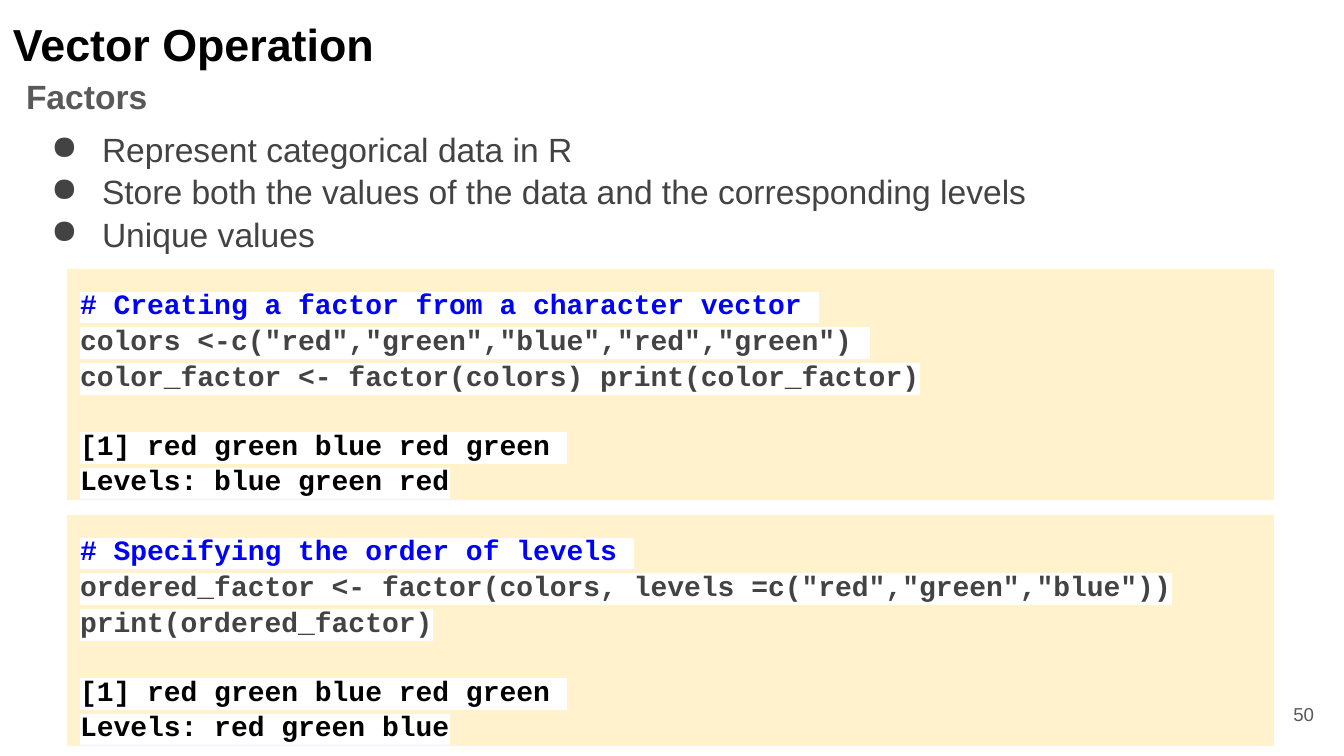
import pptx
import pptx.dml.color
import pptx.enum.shapes
import pptx.enum.text
import pptx.oxml.ns
import pptx.util
import lxml.etree

EMU_PER_PX = 914400 / 134.4
INSET = 13
COLORS = {
    "title": "000000",
    "muted": "595959",
    "body": "434343",
    "comment": "0000FF",
    "output": "000000",
    "panel": "FFF2CC",
    "highlight": "FFFFFF",
}
FACTS = [
    "Represent categorical data in R",
    "Store both the values of the data and the corresponding levels",
    "Unique values",
]
EXAMPLES = [
    (
        ["# Creating a factor from a character vector "],
        [
            'colors <-c("red","green","blue","red","green") ',
            "color_factor <- factor(colors) print(color_factor)",
        ],
        ["[1] red green blue red green ", "Levels: blue green red"],
    ),
    (
        ["# Specifying the order of levels "],
        [
            'ordered_factor <- factor(colors, levels =c("red","green","blue"))',
            "print(ordered_factor)",
        ],
        ["[1] red green blue red green ", "Levels: red green blue"],
    ),
]


def px(length):
    return pptx.util.Emu(round(length * EMU_PER_PX))


def rgb(name):
    return pptx.dml.color.RGBColor.from_string(COLORS[name])


def set_frame(frame, top_inset=INSET):
    frame.word_wrap = True
    frame.margin_left = frame.margin_right = frame.margin_bottom = px(INSET)
    frame.margin_top = px(top_inset)
    frame.vertical_anchor = pptx.enum.text.MSO_ANCHOR.TOP


def style_runs(paragraph, size, color, bold=False, face="Arial"):
    for run in paragraph.runs:
        run.font.size = pptx.util.Pt(size)
        run.font.bold = bold
        run.font.name = face
        run.font.color.rgb = rgb(color)


def add_label(slide, box, text, size, color, bold=False, top_inset=INSET):
    label = slide.shapes.add_textbox(*map(px, box))
    set_frame(label.text_frame, top_inset)
    label.text_frame.text = text
    paragraph = label.text_frame.paragraphs[0]
    style_runs(paragraph, size, color, bold)
    return label.text_frame


def add_bullet(paragraph, color):
    properties = paragraph._p.get_or_add_pPr()
    properties.set("marL", str(px(67)))
    properties.set("indent", str(px(-51)))
    qn = pptx.oxml.ns.qn
    bullet_color = lxml.etree.SubElement(properties, qn("a:buClr"))
    lxml.etree.SubElement(bullet_color, qn("a:srgbClr"), val=COLORS[color])
    lxml.etree.SubElement(properties, qn("a:buChar"), char="●")


def add_facts(slide, box):
    facts = slide.shapes.add_textbox(*map(px, box))
    set_frame(facts.text_frame)
    facts.text_frame.text = "\n".join(FACTS)
    for paragraph in facts.text_frame.paragraphs:
        add_bullet(paragraph, "body")
        paragraph.line_spacing = 1.05
        style_runs(paragraph, 18, "body")


def highlight_runs(paragraph, color):
    qn = pptx.oxml.ns.qn
    for run in paragraph.runs:
        highlight = lxml.etree.Element(qn("a:highlight"))
        lxml.etree.SubElement(highlight, qn("a:srgbClr"), val=COLORS[color])
        run._r.get_or_add_rPr().find(qn("a:solidFill")).addnext(highlight)


def add_code_panel(slide, box, comments, code, output):
    panel = slide.shapes.add_shape(
        pptx.enum.shapes.MSO_SHAPE.RECTANGLE, *map(px, box))
    panel.shadow.inherit = False
    panel.fill.solid()
    panel.fill.fore_color.rgb = rgb("panel")
    panel.line.fill.background()
    set_frame(panel.text_frame, 16)
    panel.text_frame.text = "\n".join(comments + code + output)
    colors = (["comment"] * len(comments) + ["body"] * len(code)
              + ["output"] * len(output))
    paragraphs = panel.text_frame.paragraphs
    for paragraph, color in zip(paragraphs, colors):
        paragraph.alignment = pptx.enum.text.PP_ALIGN.LEFT
        paragraph.line_spacing = 1.06
        style_runs(paragraph, 15, color, True, "Courier New")
        highlight_runs(paragraph, "highlight")
    paragraphs[len(comments + code)].space_before = pptx.util.Pt(18)


def main():
    deck = pptx.Presentation()
    deck.slide_width, deck.slide_height = px(1344), px(756)
    slide = deck.slides.add_slide(deck.slide_layouts[6])

    add_label(slide, (13, 60, 179, 71), "Factors", 18, "muted", True, 16)
    add_facts(slide, (22, 114, 1265, 149))
    for index, example in enumerate(EXAMPLES):
        add_code_panel(slide, (67, 269 + 246 * index, 1207, 231), *example)
    add_label(slide, (0, 0, 441, 82), "Vector Operation", 24, "title", True, 17)

    number = add_label(slide, (1246, 685, 81, 58), "50", 10, "muted")
    number.vertical_anchor = pptx.enum.text.MSO_ANCHOR.MIDDLE
    number.paragraphs[0].alignment = pptx.enum.text.PP_ALIGN.RIGHT

    deck.save("out.pptx")


if __name__ == "__main__":
    main()
